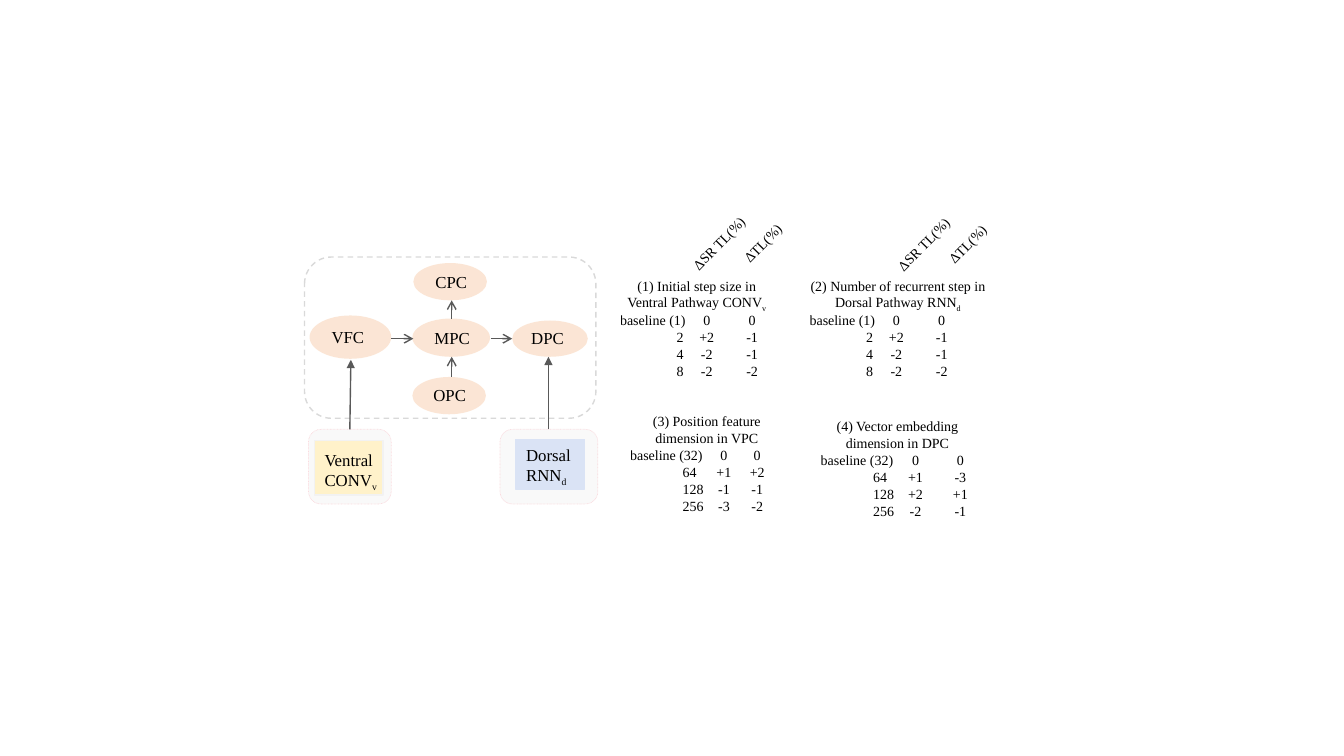
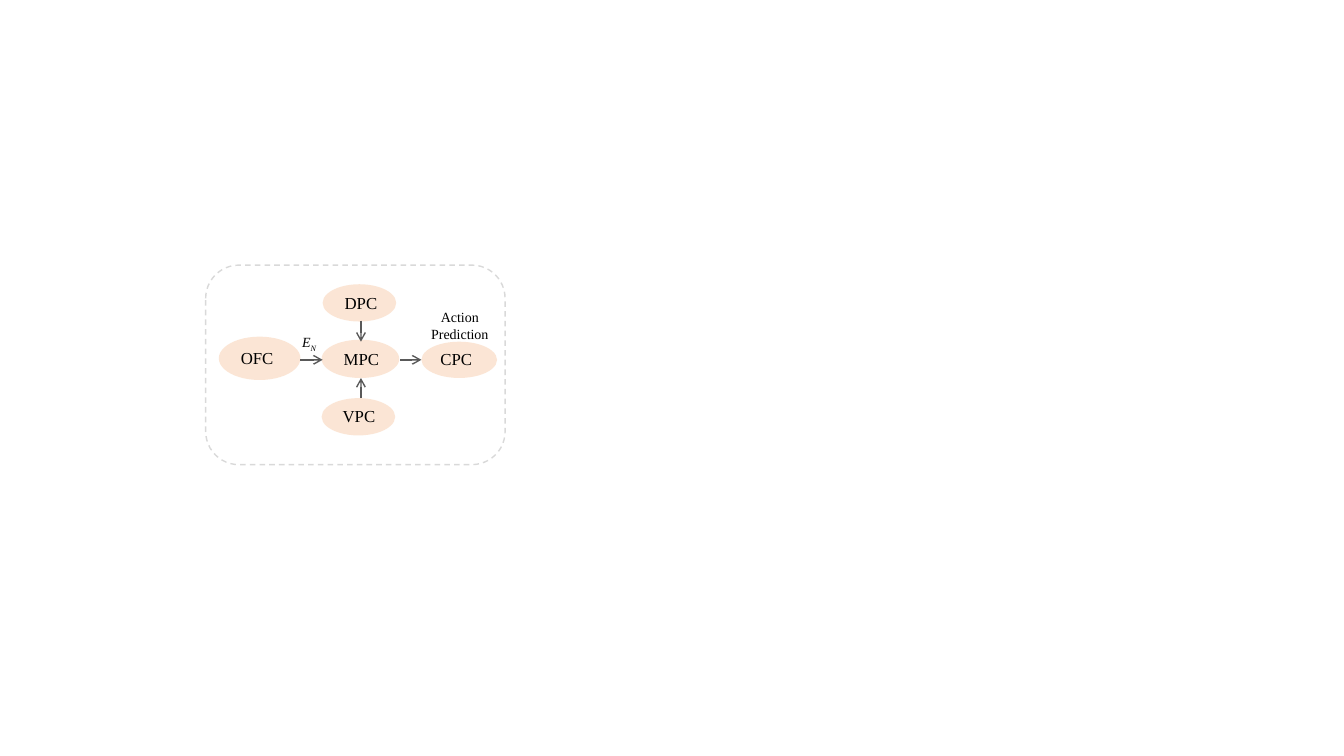
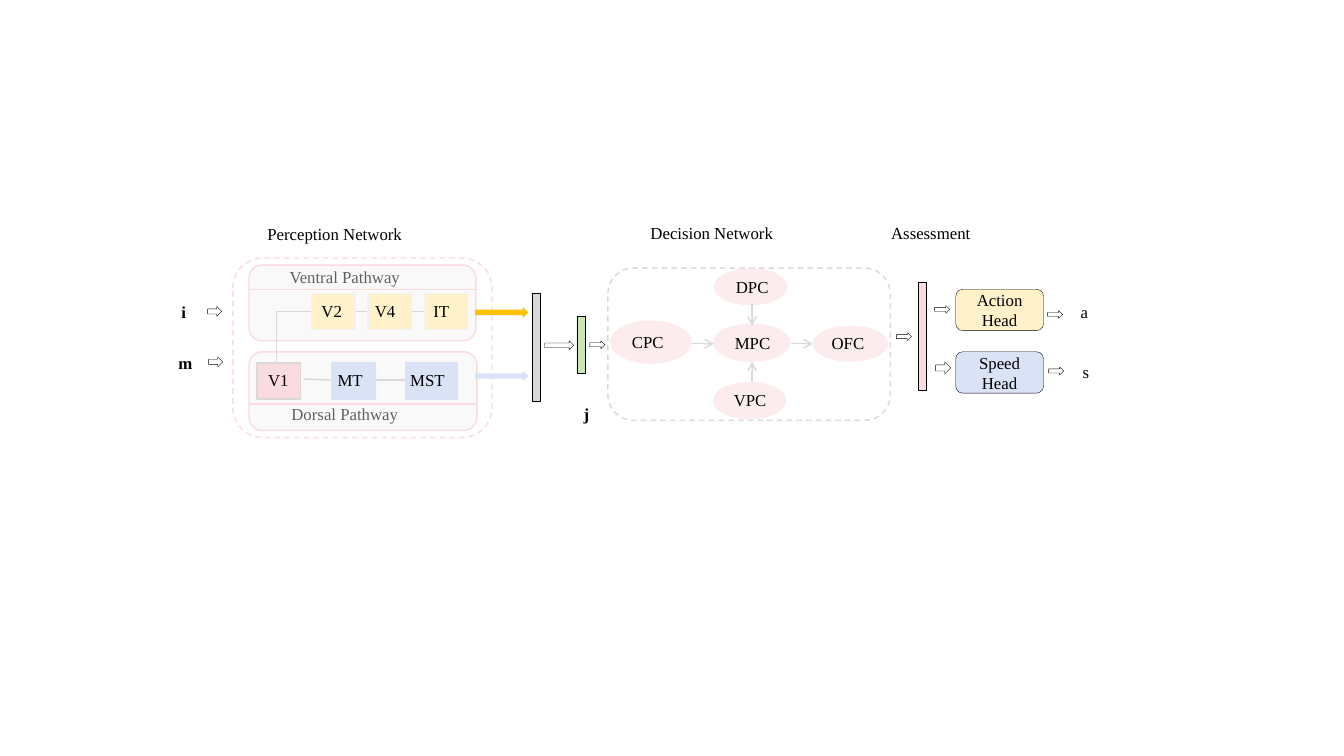
import dataclasses

import lxml.etree
import pptx
import pptx.dml.color
import pptx.enum.dml
import pptx.enum.shapes
import pptx.enum.text
import pptx.oxml.ns
import pptx.util

PRESET = pptx.enum.shapes.MSO_SHAPE
DASH = pptx.enum.dml.MSO_LINE
ALIGN = pptx.enum.text.PP_ALIGN
ANCHOR = pptx.enum.text.MSO_ANCHOR


@dataclasses.dataclass(frozen=True)
class Theme:
    """Shared colours, type sizes and line widths."""
    font: str = "Times New Roman"
    body: float = 12
    small: float = 10
    black: str = "000000"
    white: str = "FFFFFF"
    arrow: str = "595959"
    rule: str = "D9D9D9"
    panel: str = "F2F2F2"
    peach: str = "F8CDAC"
    pink: str = "FADBDF"
    cream: str = "FFF2CA"
    blue: str = "DAE3F5"
    gold: str = "FFC000"
    green: str = "C8E5B3"
    thin: float = 0.25
    fine: float = 0.5
    normal: float = 1


THEME = Theme()


@dataclasses.dataclass(frozen=True)
class Box:
    """A region measured in one-inch grid columns and rows."""
    left: float
    top: float
    width: float
    height: float

    def inside(self, column, row, columns, rows):
        """Return a box offset from this one."""
        return Box(self.left + column, self.top + row, columns, rows)

    def emu(self):
        """Return the four lengths for python-pptx."""
        return [pptx.util.Inches(n) for n in dataclasses.astuple(self)]


def rgb(colour):
    """Turn a hex string into a colour."""
    return pptx.dml.color.RGBColor.from_string(colour)


def write(frame, text, size=THEME.body, align=ALIGN.LEFT, **style):
    """Fill a text frame; an underscore starts a subscript."""
    lines = text.split("\n")
    frame.text = "\n".join(line.partition("_")[0] for line in lines)
    for paragraph, line in zip(frame.paragraphs, lines):
        paragraph.alignment = align
        subscript = line.partition("_")[2]
        if subscript:
            run = paragraph.add_run()
            run.text = subscript
            run._r.get_or_add_rPr().set("baseline", "-25000")
        for run in paragraph.runs:
            run.font.name = THEME.font
            run.font.size = pptx.util.Pt(size)
            run.font.color.rgb = rgb(THEME.black)
            for key, value in style.items():
                setattr(run.font, key, value)


def label(slide, box, text, rotation=0, **style):
    """Place a wrapped text box."""
    caption = slide.shapes.add_textbox(*box.emu())
    caption.rotation = rotation
    caption.text_frame.word_wrap = True
    write(caption.text_frame, text, **style)


def block(slide, preset, box, fill=None, line=None, weight=THEME.normal,
          dash=None, opacity=100):
    """Place a preset shape with its fill and outline."""
    shape = slide.shapes.add_shape(preset, *box.emu())
    shape.shadow.inherit = False
    if fill:
        shape.fill.solid()
        shape.fill.fore_color.rgb = rgb(fill)
        if opacity < 100:
            tint = shape._element.spPr.find(pptx.oxml.ns.qn("a:solidFill"))[0]
            lxml.etree.SubElement(tint, pptx.oxml.ns.qn("a:alpha"), val=str(opacity * 1000))
    else:
        shape.fill.background()
    if line:
        shape.line.color.rgb = rgb(line)
        shape.line.width = pptx.util.Pt(weight)
        if dash:
            shape.line.dash_style = dash
    else:
        shape.line.fill.background()
    return shape


def link(slide, box, start, end, colour=THEME.arrow, head=None):
    """Draw a straight line between two points of a region."""
    ends = [pptx.util.Inches(n) for n in (
        box.left + start[0], box.top + start[1], box.left + end[0], box.top + end[1])]
    line = slide.shapes.add_connector(pptx.enum.shapes.MSO_CONNECTOR.STRAIGHT, *ends)
    line.line.color.rgb = rgb(colour)
    line.line.width = pptx.util.Pt(THEME.normal)
    outline = line._element.spPr
    if head:
        lxml.etree.SubElement(outline.get_or_add_ln(), pptx.oxml.ns.qn("a:tailEnd"), type=head)
    lxml.etree.SubElement(outline, pptx.oxml.ns.qn("a:effectLst"))


def flow(slide, box, fill=THEME.white, line=THEME.black, weight=THEME.thin):
    """Place a block arrow pointing right."""
    block(slide, PRESET.RIGHT_ARROW, box, fill, line, weight)


def bar(slide, box, fill):
    """Place a feature bar with a hairline outline."""
    block(slide, PRESET.RECTANGLE, box, fill, THEME.black, THEME.thin)


def network(slide, frame, hub, names, fill, colour=THEME.arrow, upward=False):
    """Draw five linked areas; names run left, top, middle, bottom, right."""
    block(slide, PRESET.ROUNDED_RECTANGLE, frame, line=THEME.rule, dash=DASH.DASH)
    areas = [((0, 0, 0.81, 0.43), (0.12, 0.06, 0.7, 0.43)),
             ((1.03, -0.52, 0.73, 0.37), (1.15, -0.48, 0.73, 0.47)),
             ((1.02, 0.03, 0.77, 0.38), (1.14, 0.07, 0.73, 0.47)),
             ((1.02, 0.61, 0.73, 0.37), (1.13, 0.64, 0.73, 0.47)),
             ((2.01, 0.05, 0.75, 0.36), (2.1, 0.07, 0.73, 0.47))]
    for name, (oval, caption) in zip(names, areas):
        block(slide, PRESET.OVAL, hub.inside(*oval), fill, opacity=50)
        label(slide, hub.inside(*caption), name)
    top = ((1.41, 0.03), (1.41, -0.15)) if upward else ((1.41, -0.16), (1.41, 0.05))
    for start, end in (((0.81, 0.23), (1.03, 0.23)), top,
                       ((1.41, 0.61), (1.41, 0.41)), ((1.8, 0.23), (2.01, 0.23))):
        link(slide, hub, start, end, colour, "arrow")


def source(slide, box, card, caption, text, fill, line):
    """Draw a pathway card that feeds the network."""
    block(slide, PRESET.ROUNDED_RECTANGLE, box, THEME.panel, THEME.pink,
          THEME.fine, DASH.ROUND_DOT, 40)
    block(slide, PRESET.RECTANGLE, box.inside(*card), fill, line)
    label(slide, box.inside(*caption), text)


def ablation(slide, box, heading, rows, columns, indent):
    """Place a heading above a small table of changes."""
    label(slide, box, heading, size=THEME.small, align=ALIGN.CENTER)
    place = box.inside(0.1, 0.4, sum(columns), 0.67)
    table = slide.shapes.add_table(len(rows), len(columns), *place.emu()).table
    table.first_row = table.horz_banding = False
    for column, width in zip(table.columns, columns):
        column.width = pptx.util.Inches(width)
    for r, row in enumerate(rows):
        for c, value in enumerate(row):
            cell = table.cell(r, c)
            cell.fill.background()
            cell.margin_left = pptx.util.Inches(indent if r and not c else 0)
            cell.margin_right = cell.margin_top = cell.margin_bottom = 0
            cell.vertical_anchor = ANCHOR.MIDDLE
            write(cell.text_frame, value, THEME.small, ALIGN.CENTER if c else ALIGN.LEFT)


def measures(slide, box):
    """Place the two slanted column headings."""
    for text, column, width in (("ΔSR TL(%)", 0, 1.02), ("ΔTL(%)", 0.53, 0.83)):
        label(slide, box.inside(column, 0, width, 0.27), text, rotation=314.3,
              size=THEME.small, align=ALIGN.CENTER)


def ablation_slide(slide):
    """Build the network with its four ablation tables."""
    hub = Box(3.07, 3.13, 2.76, 0.98)
    source(slide, Box(4.96, 4.26, 0.97, 0.74), (0.15, 0.1, 0.69, 0.49),
           (0.16, 0.1, 0.67, 0.52), "Dorsal\nRNN_d", THEME.blue, THEME.blue)
    source(slide, Box(3.06, 4.26, 0.82, 0.74), (0.06, 0.11, 0.68, 0.54),
           (0.06, 0.15, 0.79, 0.64), "Ventral\nCONV_v", THEME.cream, THEME.panel)
    network(slide, Box(3.02, 2.55, 2.89, 1.6), hub,
            ("VFC", "CPC", "MPC", "OPC", "DPC"), THEME.peach, upward=True)
    link(slide, hub, (0.4, 1.13), (0.41, 0.44), head="triangle")
    link(slide, hub, (2.37, 1.13), (2.37, 0.41), head="triangle")
    steps = (("baseline (1)", "0", "0"), ("2", "+2", "-1"), ("4", "-2", "-1"), ("8", "-2", "-2"))
    step_columns, step_indent, size_indent = (0.7, 0.32, 0.58), 0.56, 0.52
    ablation(slide, Box(6.05, 2.7, 1.72, 0.4),
             "(1) Initial step size in Ventral Pathway CONV_v", steps, step_columns, step_indent)
    ablation(slide, Box(7.93, 2.7, 1.95, 0.4),
             "(2) Number of recurrent step in Dorsal Pathway RNN_d", steps, step_columns, step_indent)
    ablation(slide, Box(6.15, 4.04, 1.72, 0.4), "(3) Position feature dimension in VPC",
             (("baseline (32)", "0", "0"), ("64", "+1", "+2"),
              ("128", "-1", "-1"), ("256", "-3", "-2")), (0.75, 0.36, 0.3), size_indent)
    ablation(slide, Box(8.04, 4.09, 1.72, 0.4), "(4) Vector embedding dimension in DPC",
             (("baseline (32)", "0", "0"), ("64", "+1", "-3"),
              ("128", "+2", "+1"), ("256", "-2", "-1")), (0.75, 0.38, 0.51), size_indent)
    measures(slide, Box(6.62, 2.28, 1.36, 0.27))
    measures(slide, Box(8.65, 2.29, 1.36, 0.27))


def prediction_slide(slide):
    """Build the action prediction network."""
    hub = Box(2.17, 3.34, 2.76, 0.98)
    network(slide, Box(2.04, 2.63, 2.97, 1.98), hub,
            ("OFC", "DPC", "MPC", "VPC", "CPC"), THEME.peach)
    label(slide, hub.inside(1.98, -0.33, 0.82, 0.44), "Action Prediction",
          size=THEME.small, align=ALIGN.CENTER)
    label(slide, hub.inside(0.7, -0.08, 0.39, 0.27), "E_N",
          size=THEME.small, align=ALIGN.CENTER, italic=True)


def inputs(slide, box):
    """Place the two input symbols and their arrows."""
    for text, left, top, width, tip, drop in (
            ("i", 0.03, 0, 0.43, 0.39, 0.1), ("m", 0, 0.51, 0.55, 0.4, 0.6)):
        label(slide, box.inside(left, top, width, 0.25), text, bold=True)
        flow(slide, box.inside(tip, drop, 0.14, 0.1))


def perception(slide, box):
    """Draw the ventral and dorsal pathways."""
    label(slide, box.inside(0, -0.39, 2.02, 0.35), "Perception Network", align=ALIGN.CENTER)
    block(slide, PRESET.ROUNDED_RECTANGLE, box, line=THEME.pink, dash=DASH.DASH)
    for text, row, rows, panel, divider in (
            ("Ventral Pathway", 0.04, 0.35, (0.16, 0.07, 2.25, 0.75), 0.31),
            ("Dorsal Pathway", 1.4, 0.26, (0.16, 0.93, 2.26, 0.78), 1.45)):
        label(slide, box.inside(0.1, row, 2.02, rows), text, align=ALIGN.CENTER)
        block(slide, PRESET.ROUNDED_RECTANGLE, box.inside(*panel),
              THEME.panel, THEME.pink, opacity=40)
        link(slide, box, (0.16, divider), (2.42, divider), THEME.pink)
    for start, end in (((0.43, 0.53), (0.77, 0.53)), ((0.43, 0.53), (0.43, 1.04)),
                       ((1.21, 0.53), (1.34, 0.53)), ((1.77, 0.53), (1.9, 0.53)),
                       ((0.7, 1.2), (0.98, 1.21)), ((1.42, 1.21), (1.71, 1.21))):
        link(slide, box, start, end, THEME.rule)
    ventral, dorsal = 0.35, 1.04
    for text, column, row, width, shift, room, fill, line in (
            ("V2", 0.78, ventral, 0.43, 0, 0.56, THEME.cream, THEME.panel),
            ("V4", 1.34, ventral, 0.43, -0.03, 0.56, THEME.cream, THEME.panel),
            ("IT", 1.9, ventral, 0.43, -0.01, 0.58, THEME.cream, THEME.panel),
            ("V1", 0.24, dorsal, 0.43, 0.01, 0.41, THEME.pink, THEME.rule),
            ("MT", 0.98, dorsal, 0.43, -0.04, 0.77, THEME.blue, THEME.blue),
            ("MST", 1.71, dorsal, 0.52, -0.05, 0.79, THEME.blue, THEME.blue)):
        block(slide, PRESET.RECTANGLE, box.inside(column, row, width, 0.36), fill, line)
        label(slide, box.inside(column + shift, row + 0.02, room, 0.38), text)
    for row, colour in ((0.5, THEME.gold), (1.13, THEME.blue)):
        flow(slide, box.inside(2.41, row, 0.51, 0.08), colour, colour, THEME.normal)


def fusion(slide, box):
    """Draw the bars that join the pathways into j."""
    bar(slide, box.inside(0, 0, 0.08, 1.07), THEME.rule)
    flow(slide, box.inside(0.12, 0.47, 0.29, 0.09))
    bar(slide, box.inside(0.44, 0.23, 0.08, 0.56), THEME.green)
    flow(slide, box.inside(0.57, 0.47, 0.15, 0.08))
    label(slide, box.inside(0.24, 1.05, 0.59, 0.3), "j", align=ALIGN.CENTER, bold=True)


def decision(slide, box):
    """Draw the decision network under its heading."""
    label(slide, box.inside(0.02, -0.5, 2.02, 0.35), "Decision Network", align=ALIGN.CENTER)
    network(slide, box, box.inside(0.02, 0.52, 2.76, 0.98),
            ("CPC", "DPC", "MPC", "VPC", "OFC"), THEME.pink, THEME.rule)


def assessment(slide, box):
    """Draw the two heads and their outputs."""
    label(slide, box.inside(0, 0, 1.15, 0.3), "Assessment")
    flow(slide, box.inside(0.15, 1.14, 0.15, 0.08))
    bar(slide, box.inside(0.37, 0.64, 0.08, 1.07), THEME.pink)
    for text, row, fill, entry, leave, output, place, align in (
            ("Action\nHead", 0.71, THEME.cream, (0.53, 0.87, 0.15, 0.08),
             (1.65, 0.92, 0.15, 0.08), "a", (1.88, 0.78, 0.46, 0.31), ALIGN.LEFT),
            ("Speed\nHead", 1.33, THEME.blue, (0.54, 1.43, 0.15, 0.12),
             (1.66, 1.48, 0.15, 0.08), "s", (1.8, 1.38, 0.46, 0.31), ALIGN.CENTER)):
        flow(slide, box.inside(*entry))
        head = block(slide, PRESET.ROUNDED_RECTANGLE, box.inside(0.74, row, 0.87, 0.41),
                     fill, THEME.black, THEME.thin)
        head.text_frame.vertical_anchor = ANCHOR.MIDDLE
        write(head.text_frame, text, align=ALIGN.CENTER)
        flow(slide, box.inside(*leave))
        label(slide, box.inside(*place), output, align=align)


def architecture_slide(slide):
    """Build the whole pipeline from inputs to outputs."""
    inputs(slide, Box(1.67, 2.94, 0.55, 0.76))
    perception(slide, Box(2.31, 2.56, 2.57, 1.78))
    fusion(slide, Box(5.28, 2.91, 0.72, 1.35))
    decision(slide, Box(6.03, 2.66, 2.8, 1.51))
    assessment(slide, Box(8.74, 2.16, 2.34, 1.74))


def main():
    """Build and save the presentation."""
    deck = pptx.Presentation()
    deck.slide_width = pptx.util.Inches(13.33)
    deck.slide_height = pptx.util.Inches(7.5)
    blank = deck.slide_layouts[6]
    for build in (ablation_slide, prediction_slide, architecture_slide):
        build(deck.slides.add_slide(blank))
    deck.save("out.pptx")


if __name__ == "__main__":
    main()
